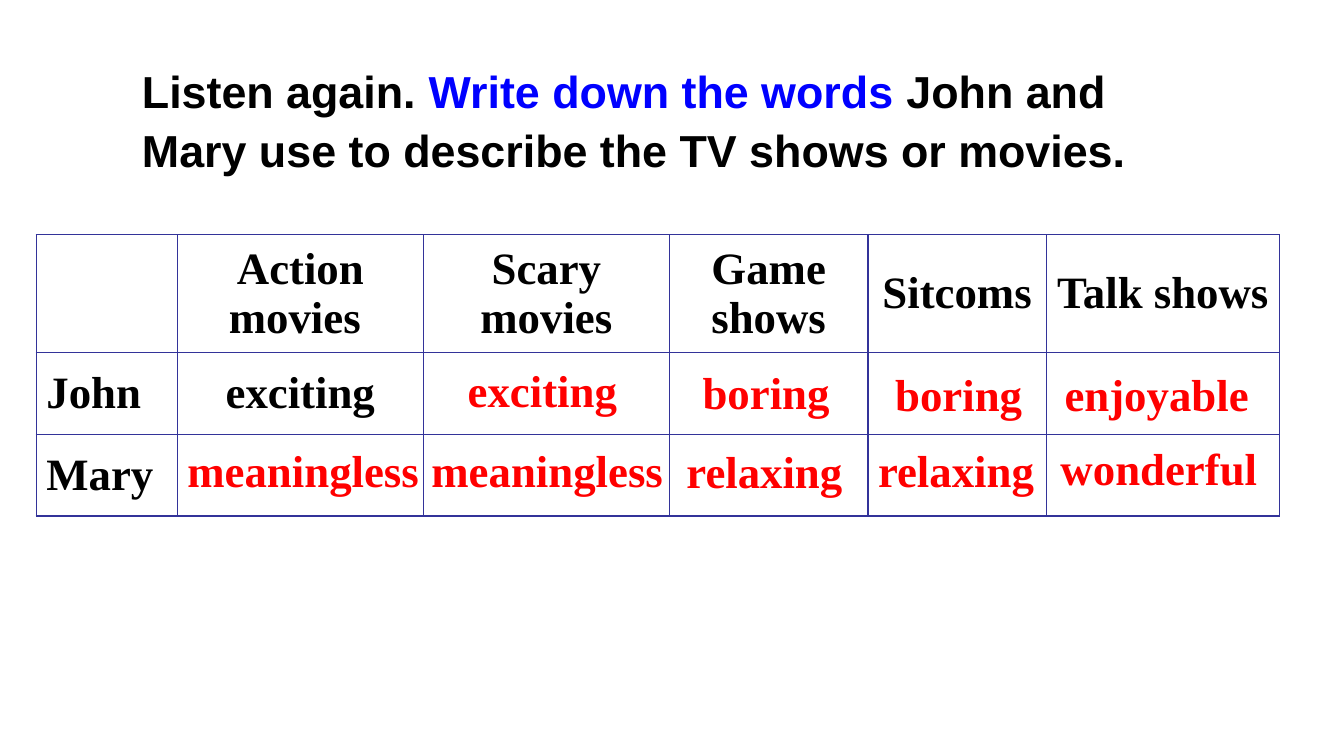
from lxml.etree import SubElement
from pptx import Presentation
from pptx.dml.color import RGBColor
from pptx.enum.text import MSO_ANCHOR, MSO_AUTO_SIZE, PP_ALIGN
from pptx.oxml.ns import qn
from pptx.util import Inches, Pt

COLORS = {"black": "000000", "blue": "0000FF", "red": "FF0000", "border": "333399"}
SERIF = "Times New Roman"


def add_words(paragraph, words, color, font_name=SERIF):
    run = paragraph.add_run()
    run.text = words
    for attribute, value in {"name": font_name, "size": Pt(32), "bold": True}.items():
        setattr(run.font, attribute, value)
    run.font.color.rgb = RGBColor.from_string(COLORS[color])


def add_text_frame(left, top, width, height):
    box = slide.shapes.add_textbox(*map(Inches, (left, top, width, height)))
    frame = box.text_frame
    frame.word_wrap = True
    frame.auto_size = MSO_AUTO_SIZE.SHAPE_TO_FIT_TEXT
    return frame


prs = Presentation()
prs.slide_width, prs.slide_height = Inches(13.33), Inches(7.5)
slide = prs.slides.add_slide(prs.slide_layouts[6])

# Task instruction
instruction = add_text_frame(1.31, 0.53, 10.16, 1.29).paragraphs[0]
instruction.line_spacing = 1.1
for words, color in [
    ("Listen again. ", "black"),
    ("Write down the words", "blue"),
    (" John and Mary use to describe the TV shows or movies.", "black"),
]:
    add_words(instruction, words, color, "Arial")

# Table of programmes and speakers
grid = [
    ["", "Action movies ", "Scary movies", "Game shows", "Sitcoms", "Talk shows"],
    ["John", "exciting", "", "", "", ""],
    ["Mary", "", "", "", "", ""],
]
column_widths = [1.4, 2.44, 2.44, 1.97, 1.77, 2.31]
row_heights = [1.17, 0.81, 0.81]
table = slide.shapes.add_table(
    len(row_heights), len(column_widths), Inches(0.36), Inches(2.33),
    Inches(sum(column_widths)), Inches(sum(row_heights)),
).table
table.first_row = table.horz_banding = False
for column, width in zip(table.columns, column_widths):
    column.width = Inches(width)

for row_index, (row, height) in enumerate(zip(grid, row_heights)):
    table.rows[row_index].height = Inches(height)
    for column_index, words in enumerate(row):
        cell = table.cell(row_index, column_index)
        cell.vertical_anchor = MSO_ANCHOR.MIDDLE
        properties = cell._tc.get_or_add_tcPr()
        for side in ("a:lnL", "a:lnR", "a:lnT", "a:lnB"):
            line = SubElement(properties, qn(side), w=str(Pt(1)))
            line_fill = SubElement(line, qn("a:solidFill"))
            SubElement(line_fill, qn("a:srgbClr"), val=COLORS["border"])
        cell.fill.background()
        if words:
            paragraph = cell.text_frame.paragraphs[0]
            paragraph.alignment = PP_ALIGN.CENTER if column_index else PP_ALIGN.LEFT
            add_words(paragraph, words, "black")

# Answers laid over the empty cells
answers = [
    ("exciting", 4.54, 3.55, 2.05),
    ("boring", 6.87, 3.57, 1.66),
    ("boring", 8.78, 3.59, 1.57),
    ("enjoyable", 10.46, 3.59, 2.28),
    ("meaningless", 1.76, 4.34, 3.16),
    ("meaningless", 4.18, 4.34, 2.95),
    ("relaxing", 6.71, 4.35, 1.86),
    ("relaxing", 8.61, 4.34, 1.89),
    ("wonderful", 10.42, 4.32, 2.36),
]
for answer, left, top, width in answers:
    add_words(add_text_frame(left, top, width, 0.63).paragraphs[0], answer, "red")

prs.save("out.pptx")
